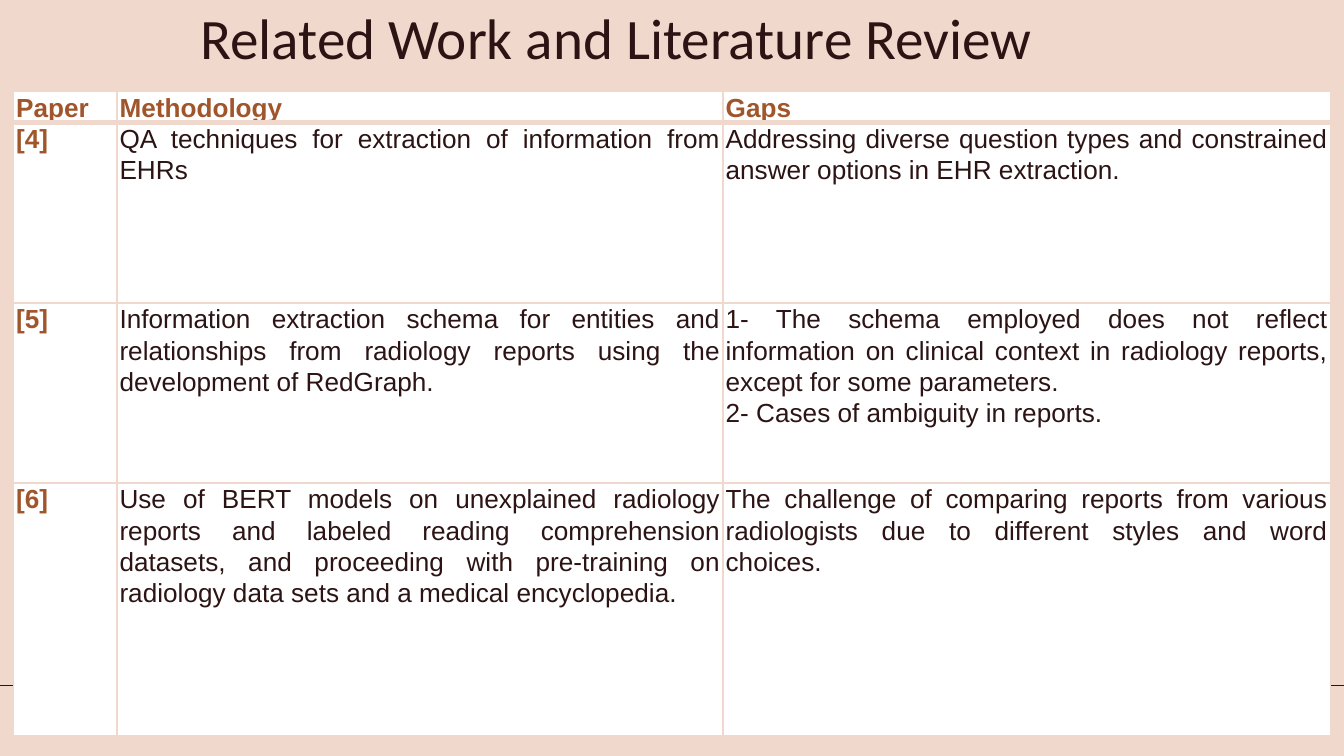
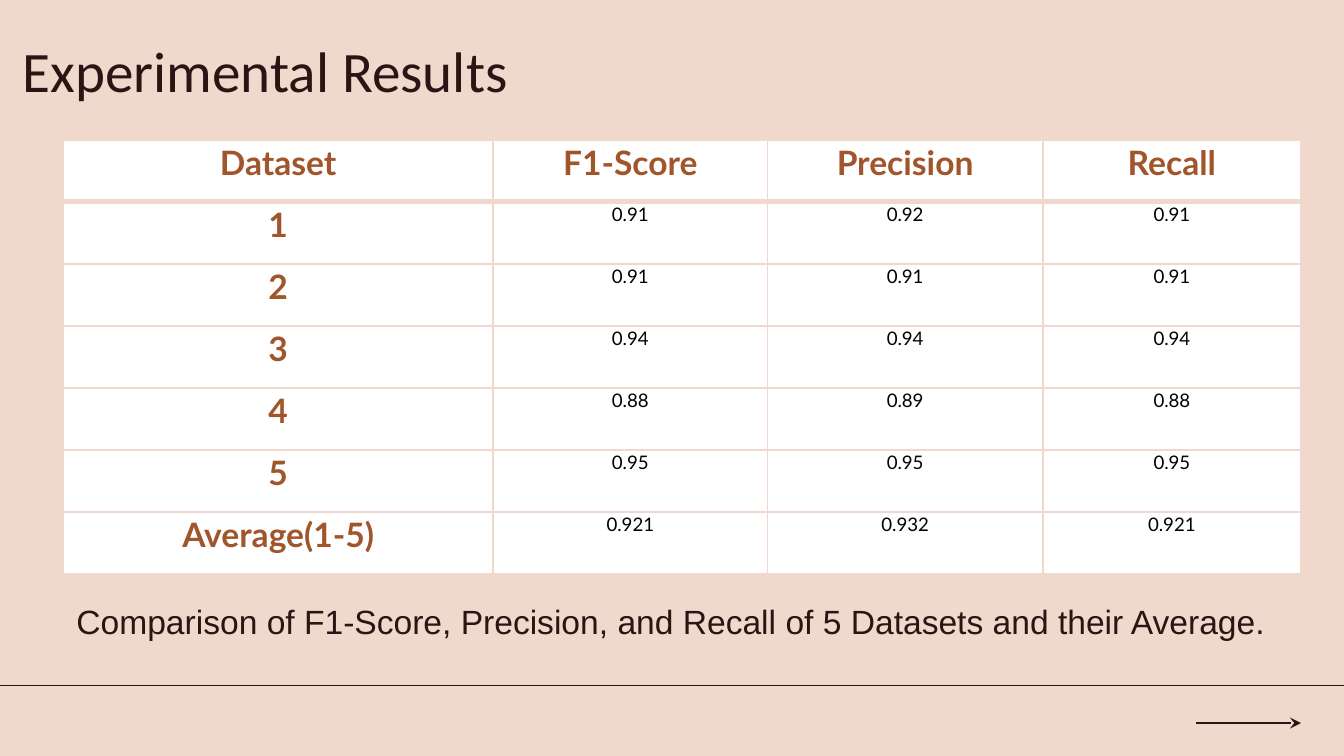
from lxml.etree import SubElement as Sub
from pptx import Presentation
from pptx.dml.color import RGBColor as RGB
from pptx.enum.shapes import MSO_CONNECTOR as Link
from pptx.enum.text import MSO_ANCHOR as Anchor, MSO_AUTO_SIZE as Fit, PP_ALIGN as Align
from pptx.oxml.ns import qn
from pptx.util import Inches, Pt

# Content
REVIEW = [
    ("Paper", "Methodology", "Gaps"),
    ("[4]", "QA techniques for extraction of information from EHRs",
     "Addressing diverse question types and constrained answer options in EHR extraction."),
    ("[5]", "Information extraction schema for entities and relationships from radiology "
     "reports using the development of RedGraph.",
     "1- The schema employed does not reflect information on clinical context in radiology "
     "reports, except for some parameters.\n2- Cases of ambiguity in reports."),
    ("[6]", "Use of BERT models on unexplained radiology reports and labeled reading "
     "comprehension datasets, and proceeding with pre-training on radiology data sets "
     "and a medical encyclopedia.",
     "The challenge of comparing reports from various radiologists due to different "
     "styles and word choices."),
]
SCORES = [
    ("Dataset", "F1-Score", "Precision", "Recall"),
    ("1", "0.91", "0.92", "0.91"),
    ("2", "0.91", "0.91", "0.91"),
    ("3", "0.94", "0.94", "0.94"),
    ("4", "0.88", "0.89", "0.88"),
    ("5", "0.95", "0.95", "0.95"),
    ("Average(1-5)", "0.921", "0.932", "0.921"),
]
CAPTION = "Comparison of F1-Score, Precision, and Recall of 5 Datasets and their Average."

# Shared look
COLORS = {"back": "F0D9CC", "ink": "2C1414", "head": "A0552B",
          "cell": "FFFFFF", "score": "000000"}
LINES = [((-0.01, 5.1), (10, 5.1), False), ((8.9, 5.38), (9.68, 5.38), True)]


def color(name):
    return RGB.from_string(COLORS[name])


def write(para, text, face, size, tint, bold=False):
    run = para.add_run()
    run.text = text
    font = run.font
    font.name, font.size, font.bold = face, Pt(size), bold
    font.color.rgb = color(tint)


def add_page(prs, title, box):
    """Title, footer rule and footer arrow."""
    page = prs.slides.add_slide(prs.slide_layouts[5])
    head = page.shapes.title
    head.left, head.top, head.width, head.height = map(Inches, box)
    frame = head.text_frame
    frame.margin_left = frame.margin_right = Inches(0.1)
    frame.margin_top = frame.margin_bottom = Inches(0.1)
    frame.vertical_anchor = Anchor.TOP
    frame.paragraphs[0].alignment = Align.LEFT
    write(frame.paragraphs[0], title, "Calibri", 30.6, "ink")
    for start, end, arrow in LINES:
        link = page.shapes.add_connector(Link.STRAIGHT, *map(Inches, start + end))
        link.line.color.rgb = color("ink")
        link.line.width = Pt(0.75)
        if arrow:
            Sub(link.line._ln, qn("a:tailEnd"), type="stealth")
        Sub(link._element.spPr, qn("a:effectLst"))
    return page


def add_edges(cell, row):
    """Cell borders, thick between the header and the body."""
    props = cell._tc.get_or_add_tcPr()
    thick = {"lnB": row == 0, "lnT": row == 1}
    for side in ("lnL", "lnR", "lnT", "lnB"):
        width = Pt(3 if thick.get(side) else 1)
        edge = Sub(props, qn("a:" + side), w=str(width))
        Sub(Sub(edge, qn("a:solidFill")), qn("a:srgbClr"), val=COLORS["back"])


def add_grid(page, rows, spot, widths, heights, pad, align, face, head, body):
    """Table; head and body are (size, colour) pairs."""
    size = sum(widths), sum(heights)
    grid = page.shapes.add_table(len(rows), len(widths), *map(Inches, spot + size)).table
    for col, width in zip(grid.columns, widths):
        col.width = Inches(width)
    for r, (texts, height) in enumerate(zip(rows, heights)):
        grid.rows[r].height = Inches(height)
        for c, text in enumerate(texts):
            cell = grid.cell(r, c)
            add_edges(cell, r)
            cell.fill.solid()
            cell.fill.fore_color.rgb = color("cell")
            cell.margin_left = cell.margin_right = Inches(pad)
            cell.margin_top = cell.margin_bottom = 0
            label = r == 0 or c == 0
            frame = cell.text_frame
            for i, part in enumerate(text.split("\n")):
                para = frame.add_paragraph() if i else frame.paragraphs[0]
                para.alignment, para.line_spacing = align, 1.07
                write(para, part, face, *(head if label else body), bold=label)


def main():
    prs = Presentation()
    prs.slide_width, prs.slide_height = Inches(10), Inches(10 * 9 / 16)
    back = prs.slide_master.background.fill
    back.solid()
    back.fore_color.rgb = color("back")

    # Literature review
    page = add_page(prs, "Related Work and Literature Review", (1.39, -0.08, 8.18, 0.76))
    add_grid(page, REVIEW, (0.1, 0.68), (0.77, 4.51, 4.52), (0.23, 1.34, 1.34, 1.88),
             0.02, Align.JUSTIFY, "Arial", (14, "head"), (14, "ink"))

    # Results
    page = add_page(prs, "Experimental Results", (0.07, 0.16, 9.94, 0.76))
    note = page.shapes.add_textbox(*map(Inches, (0.47, 4.42, 10.21, 0.4))).text_frame
    note.word_wrap = True
    note.auto_size = Fit.SHAPE_TO_FIT_TEXT
    write(note.paragraphs[0], CAPTION, "Arial", 18, "ink")
    count = len(SCORES)
    add_grid(page, SCORES, (0.47, 1.04), (3.2, 2.04, 2.05, 1.92), [3.23 / count] * count,
             0.07, Align.CENTER, "Lato", (18, "head"), (10, "score"))

    prs.save("out.pptx")


if __name__ == "__main__":
    main()
